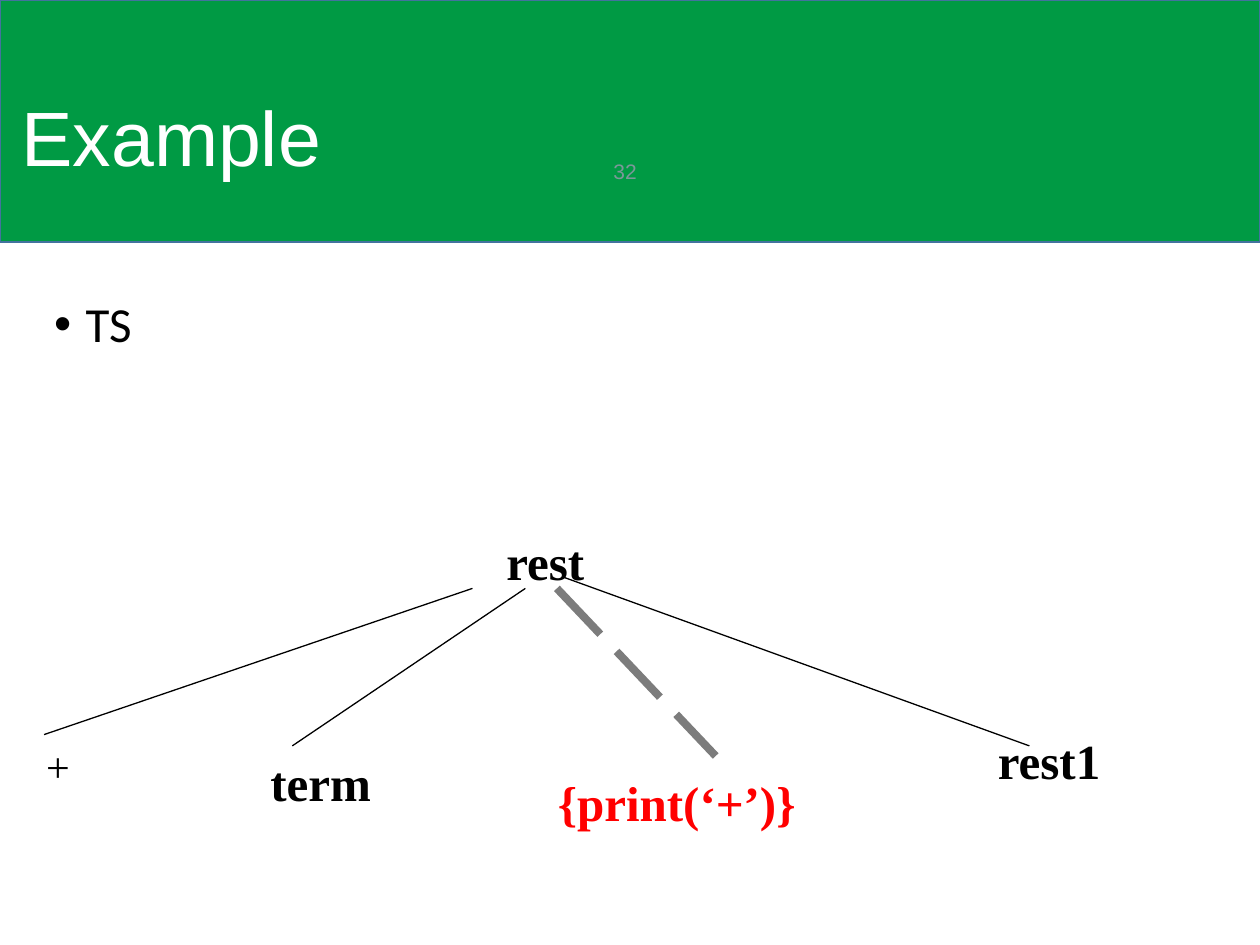
from lxml import etree
from pptx import Presentation
from pptx.dml.color import RGBColor
from pptx.enum.dml import MSO_LINE
from pptx.enum.shapes import MSO_CONNECTOR, MSO_SHAPE
from pptx.enum.text import MSO_ANCHOR, PP_ALIGN
from pptx.oxml.ns import qn
from pptx.util import Inches, Pt

LEFT, CENTER, RIGHT = PP_ALIGN.LEFT, PP_ALIGN.CENTER, PP_ALIGN.RIGHT
MIDDLE, TOP = MSO_ANCHOR.MIDDLE, MSO_ANCHOR.TOP
RECTANGLE = MSO_SHAPE.RECTANGLE
STRAIGHT = MSO_CONNECTOR.STRAIGHT
LONG_DASH = MSO_LINE.LONG_DASH

SERIF = "Times New Roman"


def color(hex_value):
    return RGBColor.from_string(hex_value)


def place(shape, left, top, width, height):
    shape.left, shape.top = Inches(left), Inches(top)
    shape.width, shape.height = Inches(width), Inches(height)


def write(shape, text, size, font, hex_value, bold=False, align=LEFT, anchor=TOP):
    frame = shape.text_frame
    frame.word_wrap = True
    frame.vertical_anchor = anchor
    paragraph = frame.paragraphs[0]
    paragraph.text = text
    paragraph.alignment = align
    paragraph.font.size = Pt(size)
    paragraph.font.name = font
    paragraph.font.bold = bold
    paragraph.font.color.rgb = color(hex_value)
    return paragraph


def add_label(slide, box, text, size, font, hex_value, **style):
    label = slide.shapes.add_textbox(*map(Inches, box))
    write(label, text, size, font, hex_value, **style)


def add_header(slide, left, top, width, height):
    # Green band, kept behind the title
    band = slide.shapes.add_shape(RECTANGLE, *map(Inches, (left, top, width, height)))
    band.shadow.inherit = False
    band.fill.solid()
    band.fill.fore_color.rgb = color("009A44")
    band.line.color.rgb = color("43739E")
    band.line.width = Pt(1)
    slide.shapes.title.element.addprevious(band.element)

    # Title and slide number
    title = slide.shapes.title
    place(title, left + 0.07, top + 0.4, 9.24, 1.45)
    heading = write(title, "Example", 44, "Arial", "FFFFFF", anchor=MIDDLE)
    heading.line_spacing = 0.9
    add_label(slide, (left + 4.77, top + 1.12, 0.5, 0.48), "32", 12, "Arial",
              "7B9899", anchor=MIDDLE)


def add_body(slide, left, top, width, height):
    body = slide.placeholders[1]
    place(body, left, top, width, height)
    item = write(body, "TS", 28, "Calibri", "000000")
    item.line_spacing = 0.9
    item.space_before = Pt(10)
    properties = item._p.get_or_add_pPr()
    properties.set("marL", str(Inches(0.25)))
    properties.set("indent", str(Inches(-0.25)))
    etree.SubElement(properties, qn("a:buChar")).set("char", "•")


def add_branch(slide, start, end, hex_value="000000", width=0.75, dash=None):
    branch = slide.shapes.add_connector(STRAIGHT, *map(Inches, start + end))
    branch.line.color.rgb = color(hex_value)
    branch.line.width = Pt(width)
    if dash:
        branch.line.dash_style = dash
    etree.SubElement(branch._element.spPr, qn("a:effectLst"))


def add_tree(slide, left, top):
    """Parse tree; all offsets are from its top left corner."""
    def at(x, y):
        return left + x, top + y

    # Branches from the root; the semantic action hangs on a dashed one
    add_branch(slide, at(3.75, 0.5), at(0.35, 1.66))
    add_branch(slide, at(4.17, 0.5), at(2.32, 1.75))
    add_branch(slide, at(4.47, 0.41), at(8.17, 1.75))
    add_branch(slide, at(4.42, 0.5), at(5.68, 1.83), "7C7C7C", 4.5, LONG_DASH)

    # Nodes: text, x, y, width, alignment, colour
    add_label(slide, (*at(0, 1.66), 0.92, 0.5), "+", 24, SERIF, "000000", align=CENTER)
    nodes = [
        ("rest", 3.92, 0, 1.75, LEFT, "000000"),
        ("term", 1.67, 1.75, 1.75, CENTER, "000000"),
        ("{print(‘+’)}", 4.33, 1.91, 2.33, LEFT, "FF0000"),
        ("rest1", 7.08, 1.58, 1.75, RIGHT, "000000"),
    ]
    for text, x, y, width, align, hex_value in nodes:
        add_label(slide, (*at(x, y), width, 0.57), text, 28, SERIF, hex_value,
                  bold=True, align=align)


def main():
    deck = Presentation()
    deck.slide_width, deck.slide_height = Inches(10), Inches(7.5)
    slide = deck.slides.add_slide(deck.slide_layouts[1])  # title and content
    add_header(slide, 0, 0, 10, 1.92)
    add_body(slide, 0.33, 2.33, 9.3, 4.34)
    add_tree(slide, 0, 4.17)
    deck.save("out.pptx")


if __name__ == "__main__":
    main()
